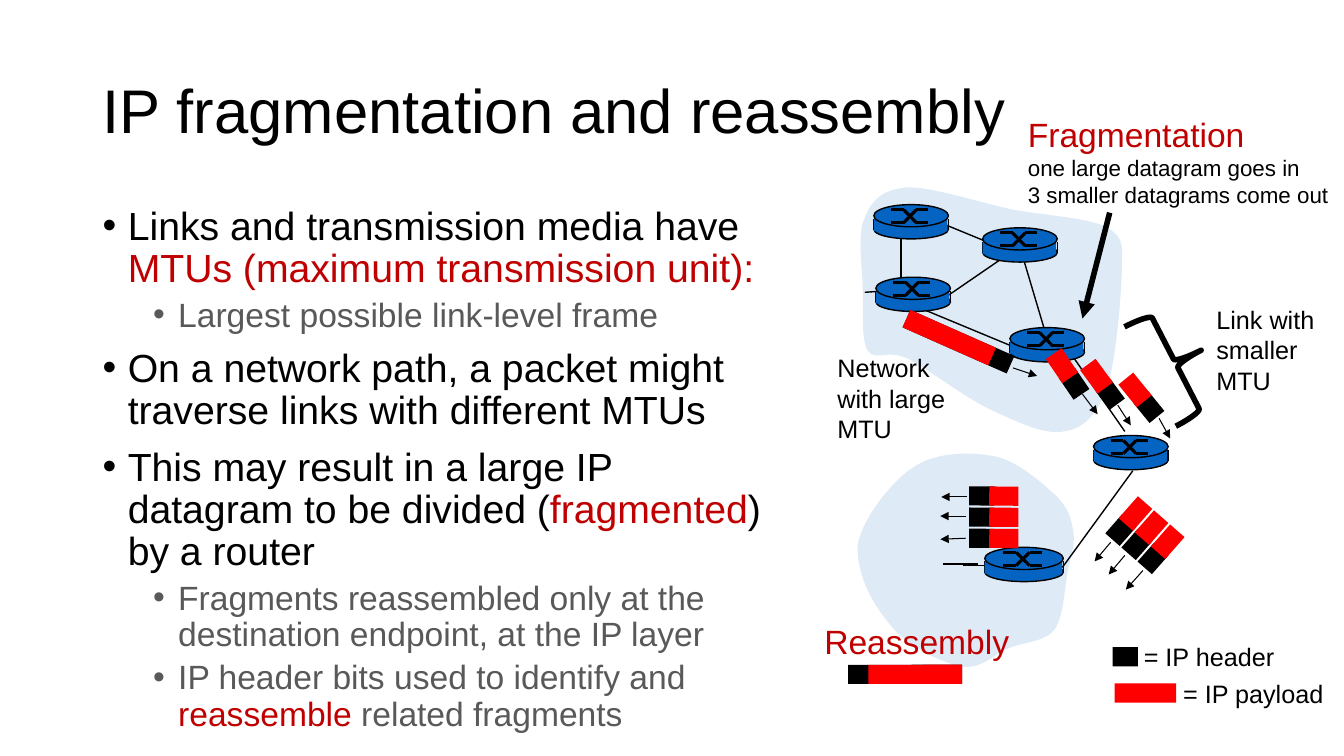
from math import cos, radians, sin

from lxml import etree
from pptx import Presentation
from pptx.dml.color import RGBColor
from pptx.enum.shapes import MSO_CONNECTOR, MSO_SHAPE
from pptx.enum.text import MSO_ANCHOR, PP_ALIGN
from pptx.oxml.ns import qn
from pptx.util import Cm, Pt

STRAIGHT = MSO_CONNECTOR.STRAIGHT
RECTANGLE, OVAL, BRACE = MSO_SHAPE.RECTANGLE, MSO_SHAPE.OVAL, MSO_SHAPE.RIGHT_BRACE
LEFT, MIDDLE = PP_ALIGN.LEFT, MSO_ANCHOR.MIDDLE
TITLE_ONLY = 5
FONT = "Arial"
BLACK, GREY, DARK_RED = "000000", "595959", "C00000"
RED, BLUE, PALE_BLUE = "FF0000", "0563C1", "DEEBF7"

BAR_HEIGHT = 0.19
# Header bar length, payload bar length, distance between their centres
FRAGMENT = (0.25, 0.29, 0.22)
DATAGRAM = (1.13, 0.93, 0.1)

# Each curve: first control point, second control point, end point
LARGE_MTU_START = (9, 1.86)
LARGE_MTU_CURVES = [
    (8.75, 1.88, 8.65, 1.99, 8.58, 2.16), (8.5, 2.33, 8.56, 2.66, 8.56, 2.88),
    (8.57, 3.1, 8.54, 3.36, 8.61, 3.48), (8.69, 3.59, 8.81, 3.46, 9.01, 3.56),
    (9.21, 3.66, 9.58, 3.95, 9.84, 4.07), (10.1, 4.19, 10.37, 4.32, 10.56, 4.28),
    (10.75, 4.25, 10.88, 4.12, 10.98, 3.86), (11.07, 3.6, 11.12, 2.99, 11.13, 2.72),
    (11.13, 2.46, 11.17, 2.37, 10.99, 2.26), (10.81, 2.16, 10.38, 2.14, 10.05, 2.08),
    (9.72, 2.01, 9.24, 1.85, 9, 1.86),
]
DESTINATION_START = (8.51, 5.41)
DESTINATION_CURVES = [
    (8.55, 5.15, 8.85, 4.77, 9.07, 4.63), (9.3, 4.48, 9.64, 4.48, 9.88, 4.53),
    (10.11, 4.58, 10.36, 4.81, 10.49, 4.93), (10.61, 5.06, 10.63, 5.15, 10.65, 5.28),
    (10.67, 5.41, 10.62, 5.53, 10.59, 5.69), (10.56, 5.86, 10.55, 6.13, 10.46, 6.25),
    (10.36, 6.37, 10.16, 6.37, 10.01, 6.43), (9.86, 6.49, 9.73, 6.65, 9.54, 6.61),
    (9.35, 6.58, 9.02, 6.42, 8.85, 6.22), (8.68, 6.02, 8.5, 5.74, 8.51, 5.41),
]
NETWORK_LINKS = [
    (8.58, 2.9, 8.72, 2.89), (9.21, 2.16, 9.94, 2.46), (10.14, 2.52, 10.36, 3.26),
    (8.94, 2.28, 8.94, 2.92), (8.97, 2.99, 10.03, 3.43), (11.16, 4.28, 10.64, 3.53),
    (10.05, 2.49, 9.22, 3.06),
]
# Left, top, width
ROUTERS = [
    (8.67, 2.03, 0.74), (8.69, 2.75, 0.74), (9.75, 2.26, 0.74),
    (10.02, 3.25, 0.74), (9.77, 5.43, 0.78), (10.85, 4.32, 0.74),
]
# Header centre, direction of travel in degrees, sizes
PACKETS = [
    (9.51, 3.39, 23.9, DATAGRAM),
    (10.66, 3.81, 55.8, FRAGMENT), (11.01, 3.91, 53.6, FRAGMENT), (11.4, 4.04, 50.9, FRAGMENT),
    (9.74, 4.92, 180.4, FRAGMENT), (9.74, 5.13, 180.4, FRAGMENT), (9.74, 5.34, 180.4, FRAGMENT),
    (8.98, 6.69, 179.9, DATAGRAM),
]
TRAVEL_ARROWS = [
    (10.05, 3.65, 10.29, 3.73), (10.74, 3.91, 10.89, 4.11), (11.09, 4.02, 11.22, 4.22),
    (11.5, 4.15, 11.61, 4.35), (9.59, 4.93, 9.34, 4.93), (9.58, 5.12, 9.33, 5.12),
    (9.58, 5.34, 9.33, 5.35),
]
LOWER_LINK_PACKETS = [(x, y, 131.3, FRAGMENT)
                      for x, y in ((11.12, 5.26), (11.28, 5.4), (11.44, 5.54))]
LOWER_LINK_ARROWS = [
    (11.02, 5.38, 10.86, 5.57), (11.16, 5.51, 11, 5.7), (11.34, 5.66, 11.17, 5.85),
]
# Level, runs
BULLETS = [
    (0, [("Links and transmission media have ", BLACK),
         ("MTUs (maximum transmission unit):", DARK_RED)]),
    (1, [("Largest possible link-level frame", GREY)]),
    (0, [("On a network path, a packet might traverse links with different MTUs", BLACK)]),
    (0, [("This may result in a large IP datagram to be divided (", BLACK),
         ("fragmented", DARK_RED), (") by a router", BLACK)]),
    (1, [("Fragments reassembled only at the destination endpoint, at the IP layer", GREY)]),
    (1, [("IP header bits used to identify and ", GREY),
         ("reassemble", DARK_RED), (" related fragments", GREY)]),
]
# Left, top, width, height, lines of text with size and colour
LABELS = [
    (10.1, 1.08, 3.3, 1.04, [("Fragmentation", 24, DARK_RED),
                             ("one large datagram goes in", 16, BLACK),
                             ("3 smaller datagrams come out", 16, BLACK)]),
    (8.08, 6.11, 2.06, 0.5, [("Reassembly", 24, DARK_RED)]),
    (11.97, 2.97, 1.29, 1.01, [("Link with smaller MTU", 18, BLACK)]),
    (8.21, 3.45, 1.47, 1.01, [("Network with large MTU", 18, BLACK)]),
    (11.25, 6.31, 1.83, 0.4, [("= IP header", 18, BLACK)]),
    (11.64, 6.68, 1.63, 0.4, [("= IP payload", 18, BLACK)]),
]


def lengths(*inches):
    return [Cm(value * 2.54) for value in inches]


def color(hex_value):
    return RGBColor.from_string(hex_value)


def format_font(font, size, hex_value):
    font.name, font.size = FONT, Pt(size)
    font.color.rgb = color(hex_value)


def add_line(shapes, ends, width=1, arrow=False):
    connector = shapes.add_connector(STRAIGHT, *lengths(*ends))
    connector.line.color.rgb = color(BLACK)
    connector.line.width = Pt(width)
    if arrow:
        line = connector.line._get_or_add_ln()
        etree.SubElement(line, qn("a:tailEnd"), type="triangle")
    etree.SubElement(connector._element.spPr, qn("a:effectLst"))


def paint(shape, fill=None, line_width=0):
    shape.shadow.inherit = False
    if fill:
        shape.fill.solid()
        shape.fill.fore_color.rgb = color(fill)
    else:
        shape.fill.background()
    if line_width:
        shape.line.color.rgb = color(BLACK)
        shape.line.width = Pt(line_width)
    else:
        shape.line.fill.background()


def add_preset(shapes, kind, box, fill=None, line_width=0, rotation=0):
    shape = shapes.add_shape(kind, *lengths(*box))
    shape.rotation = rotation
    paint(shape, fill, line_width)


def add_cloud(shapes, start, curves):
    """Build the outline from its points, then join each three into a cubic curve."""
    points = [lengths(*curve[i:i + 2]) for curve in curves for i in (0, 2, 4)]
    builder = shapes.build_freeform(*lengths(*start))
    builder.add_line_segments(points, close=True)
    shape = builder.convert_to_shape()
    segments = list(shape._element.iter(qn("a:lnTo")))
    for i in range(0, len(segments), 3):
        curve = etree.Element(qn("a:cubicBezTo"))
        segments[i].addprevious(curve)
        for segment in segments[i:i + 3]:
            curve.append(segment[0])
            segment.getparent().remove(segment)
    paint(shape, PALE_BLUE)


def add_router(slide, left, top, width):
    shapes = slide.shapes.add_group_shape().shapes
    add_preset(shapes, OVAL, (left, top + 0.15, width, 0.19), BLUE, 1)
    for x in (left, left + width):
        add_line(shapes, (x, top + 0.14, x, top + 0.25))
    add_preset(shapes, RECTANGLE, (left, top + 0.14, width - 0.01, 0.12), BLUE)
    add_preset(shapes, OVAL, (left, top, width, 0.22), BLUE, 1)
    x1, x2, x3, x4 = [left + width * share for share in (0.23, 0.4, 0.57, 0.73)]
    high, low = top + 0.05, top + 0.18
    for start, end in ((high, low), (low, high)):
        add_line(shapes, (x1, start, x2, start), 2.25)
        add_line(shapes, (x2, start, x3, end), 2.25)
        add_line(shapes, (x3, end, x4, end), 2.25)


def add_packet(shapes, x, y, angle, sizes):
    """Draw a header bar with the payload bar behind it in the travel direction."""
    header, payload, offset = sizes
    shift_x, shift_y = offset * cos(radians(angle)), offset * sin(radians(angle))
    for center_x, center_y, bar, fill in ((x, y, header, BLACK),
                                          (x - shift_x, y - shift_y, payload, RED)):
        box = (center_x - bar / 2, center_y - BAR_HEIGHT / 2, bar, BAR_HEIGHT)
        add_preset(shapes, RECTANGLE, box, fill, rotation=angle)


def add_label(slide, left, top, width, height, lines):
    frame = slide.shapes.add_textbox(*lengths(left, top, width, height)).text_frame
    frame.word_wrap = True
    frame.text = "\n".join(text for text, _, _ in lines)
    for paragraph, (_, size, hex_value) in zip(frame.paragraphs, lines):
        format_font(paragraph.runs[0].font, size, hex_value)


def add_bullets(slide):
    frame = slide.shapes.add_textbox(*lengths(0.92, 2, 6.87, 5.41)).text_frame
    frame.word_wrap = True
    for index, (level, runs) in enumerate(BULLETS):
        paragraph = frame.add_paragraph() if index else frame.paragraphs[0]
        paragraph.level = level
        paragraph.line_spacing = 0.9
        paragraph.space_before = Pt((5 if level else 10) if index else 0)
        properties = paragraph._p.get_or_add_pPr()
        margin, indent = lengths(0.25 + 0.5 * level, -0.25)
        properties.set("marL", str(margin))
        properties.set("indent", str(indent))
        etree.SubElement(properties, qn("a:buFont"), typeface=FONT)
        etree.SubElement(properties, qn("a:buChar"), char="•")
        for text, hex_value in runs:
            run = paragraph.add_run()
            run.text = text
            format_font(run.font, 24 if level else 28, hex_value)


def format_title(title):
    title.left, title.top, title.width, title.height = lengths(0.92, 0.4, 11.5, 1.45)
    title.text_frame.text = "IP fragmentation and reassembly"
    title.text_frame.vertical_anchor = MIDDLE
    paragraph = title.text_frame.paragraphs[0]
    paragraph.alignment, paragraph.line_spacing = LEFT, 0.9
    format_font(paragraph.runs[0].font, 44, BLACK)


def main():
    presentation = Presentation()
    presentation.slide_width, presentation.slide_height = Cm(33.87), Cm(19.05)
    slide = presentation.slides.add_slide(presentation.slide_layouts[TITLE_ONLY])
    shapes = slide.shapes
    format_title(shapes.title)
    add_bullets(slide)
    add_cloud(shapes, LARGE_MTU_START, LARGE_MTU_CURVES)
    add_cloud(shapes, DESTINATION_START, DESTINATION_CURVES)
    for link in NETWORK_LINKS:
        add_line(shapes, link)
    for router in ROUTERS:
        add_router(slide, *router)
    add_line(shapes, (9.36, 5.6, 9.7, 5.6), 1.5)
    add_line(shapes, (9.55, 5.61, 9.76, 5.61))
    add_line(shapes, (11.24, 4.67, 10.54, 5.63))
    for packet in PACKETS:
        add_packet(shapes.add_group_shape().shapes, *packet)
    lower_link = shapes.add_group_shape().shapes
    for packet in LOWER_LINK_PACKETS:
        add_packet(lower_link, *packet)
    for group, arrows in ((shapes, TRAVEL_ARROWS), (lower_link, LOWER_LINK_ARROWS)):
        for arrow in arrows:
            add_line(group, arrow, 0.75, arrow=True)
    add_line(shapes, (11.01, 2.11, 10.74, 3.16), 4, arrow=True)
    add_preset(shapes, BRACE, (11.38, 3.05, 0.57, 1.11), line_width=4, rotation=332.7)
    add_preset(shapes, RECTANGLE, (11.04, 6.42, 0.25, BAR_HEIGHT), BLACK)
    add_preset(shapes, RECTANGLE, (11.06, 6.78, 0.61, BAR_HEIGHT), RED)
    for label in LABELS:
        add_label(slide, *label)
    presentation.save("out.pptx")


if __name__ == "__main__":
    main()
